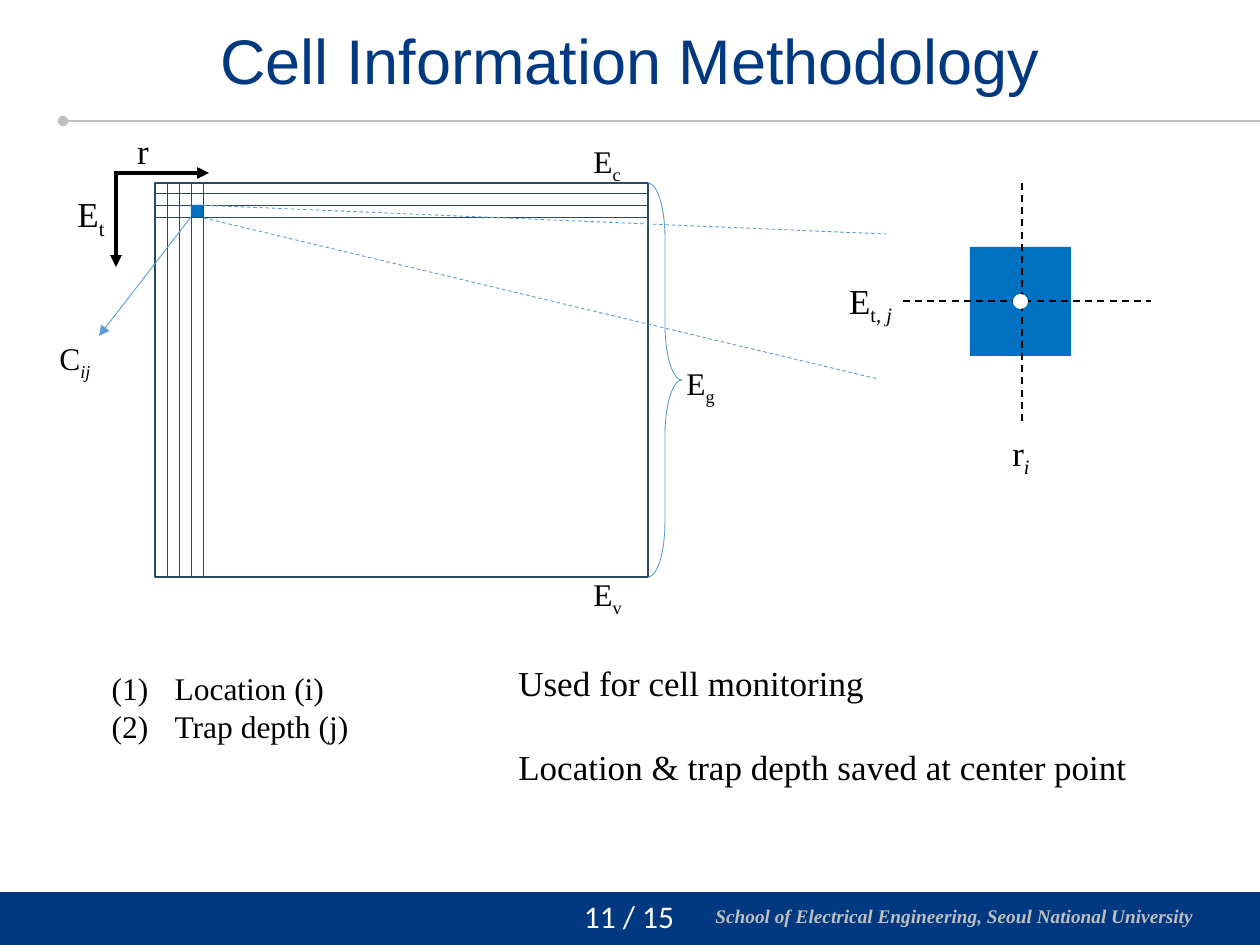
from lxml.etree import SubElement
from pptx import Presentation
from pptx.dml.color import RGBColor
from pptx.enum.dml import MSO_LINE
from pptx.enum.shapes import MSO_CONNECTOR, MSO_SHAPE
from pptx.enum.text import MSO_ANCHOR, MSO_AUTO_SIZE, PP_ALIGN
from pptx.oxml.ns import qn
from pptx.util import Emu, Pt

NAVY = RGBColor(0x00, 0x39, 0x7F)
SILVER = RGBColor(0xBF, 0xBF, 0xBF)
WHITE = RGBColor(0xFF, 0xFF, 0xFF)
BLACK = RGBColor(0x00, 0x00, 0x00)
CELL_BLUE = RGBColor(0x00, 0x70, 0xC0)
GUIDE_BLUE = RGBColor(0x5B, 0x9B, 0xD5)
GRID_BLUE = RGBColor(0x28, 0x48, 0x66)
SERIF = "Times New Roman"


def px(length):
    return Emu(round(length * 914400 / 126))


def assign(target, values):
    for name, value in values.items():
        setattr(target, name, value)


class SlideBuilder:
    """Holds the text style and the current slide, and adds each kind of element."""

    def __init__(self, slide):
        self.slide = slide
        self.font = {"name": SERIF, "size": Pt(18), "bold": False, "italic": False}

    def add_words(self, paragraph, text, color=BLACK, subscript=False, **font):
        run = paragraph.add_run()
        run.text = text
        assign(run.font, {**self.font, **font})
        run.font.color.rgb = color
        if subscript:
            run._r.get_or_add_rPr().set("baseline", "-25000")

    def frame(self, holder, box, anchor=MSO_ANCHOR.TOP):
        assign(holder, dict(zip(("left", "top", "width", "height"), map(px, box))))
        assign(holder.text_frame, {"word_wrap": True, "auto_size": MSO_AUTO_SIZE.NONE,
                                   "vertical_anchor": anchor})
        return holder.text_frame

    def title(self, text, box):
        paragraph = self.frame(self.slide.shapes.title, box, MSO_ANCHOR.MIDDLE).paragraphs[0]
        assign(paragraph, {"alignment": PP_ALIGN.CENTER, "line_spacing": 0.9})
        self.add_words(paragraph, text, NAVY, name="Arial", size=Pt(36))

    def numbered_list(self, items, box):
        frame = self.frame(self.slide.placeholders[1], box)
        for index, item in enumerate(items):
            paragraph = frame.add_paragraph() if index else frame.paragraphs[0]
            paragraph.space_before = Pt(0)
            properties = paragraph._p.get_or_add_pPr()
            properties.set("marL", str(px(63)))
            properties.set("indent", str(px(-63)))
            SubElement(properties, qn("a:buFont"), typeface=SERIF)
            SubElement(properties, qn("a:buAutoNum"), type="arabicParenBoth")
            self.add_words(paragraph, item)

    def text(self, lines, box, anchor=MSO_ANCHOR.TOP, gap=0, color=BLACK,
             layout=None, **font):
        frame = self.frame(self.slide.shapes.add_textbox(0, 0, 0, 0), box, anchor)
        for index, line in enumerate(lines):
            paragraph = frame.add_paragraph() if index else frame.paragraphs[0]
            if index:
                paragraph.space_before = Pt(gap)
            assign(paragraph, layout or {})
            self.add_words(paragraph, line, color, **font)
        return frame.paragraphs[0]

    def symbol(self, letter, box, upright="", slanted="", size=18, align=PP_ALIGN.LEFT):
        paragraph = self.text([letter], box, layout={"alignment": align}, size=Pt(size))
        for index, italic in ((upright, False), (slanted, True)):
            if index:
                self.add_words(paragraph, index, subscript=True, size=Pt(size), italic=italic)

    def shape(self, kind, box, fill=None, line=None, width=1):
        shape = self.slide.shapes.add_shape(kind, *map(px, box))
        shape.shadow.inherit = False
        if fill is None:
            shape.fill.background()
        else:
            shape.fill.solid()
            shape.fill.fore_color.rgb = fill
        if line is None:
            shape.line.fill.background()
        else:
            shape.line.color.rgb = line
            shape.line.width = Pt(width)
        return shape

    def line(self, start, end, color, width=0.5, dash=None, head=None, tail=None):
        line = self.slide.shapes.add_connector(
            MSO_CONNECTOR.STRAIGHT, *map(px, (*start, *end)))
        line.line.color.rgb = color
        assign(line.line, {"width": Pt(width), "dash_style": dash})
        outline = line.line._get_or_add_ln()
        for end_name, end_type in (("headEnd", head), ("tailEnd", tail)):
            if end_type:
                SubElement(outline, qn(f"a:{end_name}"), type=end_type)
        SubElement(line._element.spPr, qn("a:effectLst"))


def add_master_parts(builder):
    builder.shape(MSO_SHAPE.RECTANGLE, (-1, 892, 1262, 54), NAVY)
    builder.text(["School of Electrical Engineering, Seoul National University"],
                 (703, 902, 557, 33), color=SILVER, layout={"line_spacing": 0.85},
                 size=Pt(11), bold=True, italic=True)
    builder.line((63, 121), (1260, 121), SILVER, 0.75, head="oval")
    builder.text(["11 / 15"], (568, 891, 122, 50), MSO_ANCHOR.MIDDLE, color=WHITE,
                 layout={"alignment": PP_ALIGN.CENTER}, name="Calibri")


def add_energy_grid(builder):
    left, top, right, bottom, step = 155, 183, 648, 577, 12
    builder.shape(MSO_SHAPE.RECTANGLE, (left, top, right - left, bottom - top),
                  line=GRID_BLUE)
    for column in range(1, 5):
        x = left + column * step
        builder.line((x, top), (x, bottom), GRID_BLUE)
    for row in range(3):
        y = 193 + row * step
        builder.line((left, y), (right, y), GRID_BLUE)
    builder.shape(MSO_SHAPE.RECTANGLE, (left + 3 * step, 205, step, step), CELL_BLUE)
    brace = builder.shape(MSO_SHAPE.RIGHT_BRACE, (right, top, 34, bottom - top),
                          line=GUIDE_BLUE, width=0.5)
    brace.adjustments[0] = 1.635
    for band, x, y in (("c", 581, 136), ("v", 581, 569), ("g", 674, 358)):
        builder.symbol("E", (x, y, 63, 50), band)
    builder.symbol("C", (47, 333, 63, 50), slanted="ij")
    builder.line((191, 217), (99, 336), GUIDE_BLUE, tail="triangle")


def add_axes(builder):
    builder.line((115, 173), (209, 173), BLACK, 2.25, tail="triangle")
    builder.line((116, 171), (116, 267), BLACK, 2.25, tail="triangle")
    builder.symbol("r", (107, 123, 72, 55), size=20, align=PP_ALIGN.CENTER)
    builder.symbol("E", (55, 186, 72, 55), "t", size=20, align=PP_ALIGN.CENTER)


def add_cell_detail(builder):
    builder.shape(MSO_SHAPE.RECTANGLE, (970, 247, 101, 109), CELL_BLUE)
    builder.line((903, 301), (1151, 301), BLACK, 1, MSO_LINE.DASH)
    builder.line((1022, 183), (1022, 422), BLACK, 1, MSO_LINE.DASH)
    builder.shape(MSO_SHAPE.OVAL, (1013, 294, 15, 15), WHITE)
    builder.symbol("r", (985, 425, 72, 55), slanted="i", size=20, align=PP_ALIGN.CENTER)
    builder.symbol("E", (829, 273, 83, 55), "t", ", j", 20, PP_ALIGN.CENTER)
    builder.line((197, 205), (886, 234), GUIDE_BLUE, dash=MSO_LINE.DASH)
    builder.line((204, 218), (878, 379), GUIDE_BLUE, dash=MSO_LINE.DASH)


def main():
    deck = Presentation()
    assign(deck, {"slide_width": px(1260), "slide_height": px(945)})
    builder = SlideBuilder(deck.slides.add_slide(deck.slide_layouts[1]))
    add_master_parts(builder)
    builder.title("Cell Information Methodology", (13, 23, 1234, 82))
    builder.numbered_list(["Location (i)", "Trap depth (j)"], (99, 663, 328, 89))
    add_energy_grid(builder)
    add_axes(builder)
    builder.text(["Used for cell monitoring", "Location & trap depth saved at center point"],
                 (506, 655, 682, 140), gap=24, size=Pt(20))
    add_cell_detail(builder)
    deck.save("out.pptx")


if __name__ == "__main__":
    main()
